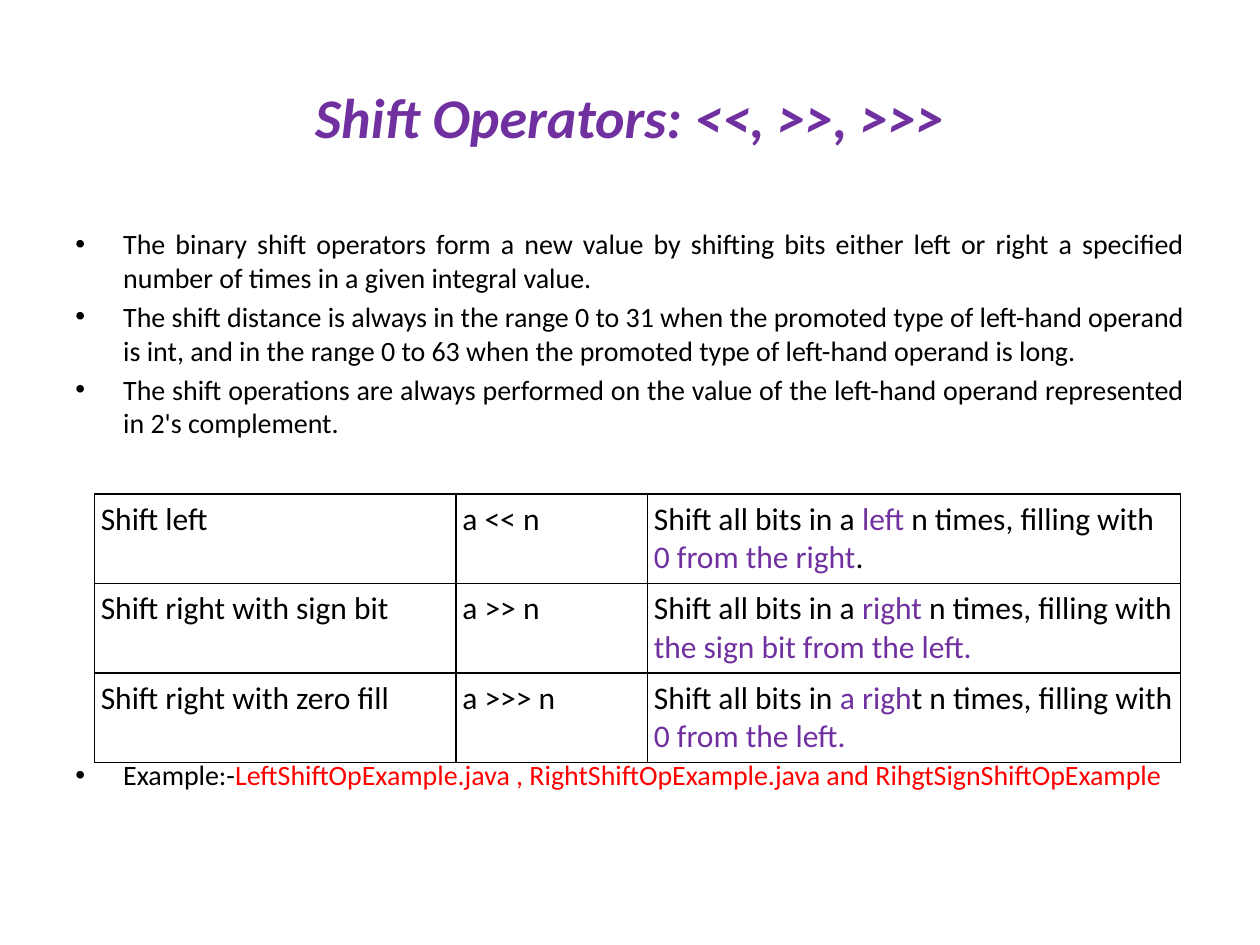
from dataclasses import dataclass

from lxml import etree
from pptx import Presentation
from pptx import util as u
from pptx.dml.color import RGBColor
from pptx.enum import text
from pptx.oxml.ns import qn


@dataclass(frozen=True)
class Theme:
    font: str = "Calibri"
    ink: str = "000000"
    accent: str = "7030A0"
    alert: str = "FF0000"
    paper: str = "FFFFFF"
    title_size: int = 32
    body_size: int = 16
    table_size: int = 18
    border: float = 1
    para_gap: float = 3.2
    example_gap: float = 182


THEME = Theme()
INK, ACCENT, ALERT = THEME.ink, THEME.accent, THEME.alert

# Each paragraph is a list of (wording, colour) spans
BULLETS = [
    [("The binary shift operators form a new value by shifting bits either left or right "
      "a specified number of times in a given integral value.", INK)],
    [("The shift distance is always in the range 0 to 31 when the promoted type of left-hand "
      "operand is int, and in the range 0 to 63 when the promoted type of left-hand operand "
      "is long.", INK)],
    [("The shift operations are always performed on the value of the left-hand operand "
      "represented in 2's complement.", INK)],
    [("Example:-", INK),
     ("LeftShiftOpExample.java , RightShiftOpExample.java and RihgtSignShiftOpExample", ALERT)],
]

OPERATORS = [
    ("Shift left", "a << n",
     [("Shift all bits in a ", INK), ("left", ACCENT), (" n times, filling with ", INK),
      ("0 from the right", ACCENT), (".", INK)]),
    ("Shift right with sign bit", "a >> n",
     [("Shift all bits in a ", INK), ("right", ACCENT), (" n times, filling with ", INK),
      ("the sign bit from the left.", ACCENT)]),
    ("Shift right with zero fill", "a >>> n",
     [("Shift all bits in ", INK), ("a righ", ACCENT), ("t n times, filling with ", INK),
      ("0 from the left.", ACCENT)]),
]


def write_spans(para, spans, size, bold=False, italic=False):
    for wording, colour in spans:
        span = para.add_run()
        span.text = wording
        span.font.name = THEME.font
        span.font.size = u.Pt(size)
        span.font.bold = bold
        span.font.italic = italic
        span.font.color.rgb = RGBColor.from_string(colour)


def add_bullet(para, indent):
    props = para._p.get_or_add_pPr()
    props.set("marL", str(u.Inches(indent)))
    props.set("indent", str(-u.Inches(indent)))
    etree.SubElement(props, qn("a:buFont"), typeface="Arial")
    etree.SubElement(props, qn("a:buChar"), char="•")


def add_borders(cell):
    props = cell._tc.get_or_add_tcPr()
    for side in ("a:lnL", "a:lnR", "a:lnT", "a:lnB"):
        line = etree.SubElement(props, qn(side), w=str(u.Pt(THEME.border)))
        fill = etree.SubElement(line, qn("a:solidFill"))
        etree.SubElement(fill, qn("a:srgbClr"), val=INK)


def place_title(page, left, top, width, height):
    title = page.shapes.title
    title.left, title.top = u.Inches(left), u.Inches(top)
    title.width, title.height = u.Inches(width), u.Inches(height)
    title.text_frame.vertical_anchor = text.MSO_ANCHOR.MIDDLE
    para = title.text_frame.paragraphs[0]
    para.alignment = text.PP_ALIGN.CENTER
    write_spans(para, [("Shift Operators: <<, >>, >>>", ACCENT)],
                THEME.title_size, bold=True, italic=True)


def place_bullets(page, left, top, width, height):
    box = page.shapes.add_textbox(*map(u.Inches, (left, top, width, height)))
    frame = box.text_frame
    frame.word_wrap = True
    for index, spans in enumerate(BULLETS):
        para = frame.add_paragraph() if index else frame.paragraphs[0]
        para.alignment = text.PP_ALIGN.JUSTIFY
        # The example line sits below the table
        is_example = index == len(BULLETS) - 1
        para.space_before = u.Pt(THEME.example_gap if is_example else THEME.para_gap)
        add_bullet(para, 0.38)
        write_spans(para, spans, THEME.body_size)


def place_operator_table(page, left, top, widths, row_height):
    count = len(OPERATORS)
    frame = page.shapes.add_table(
        count, len(widths),
        *map(u.Inches, (left, top, sum(widths), row_height * count)))
    table = frame.table
    table.first_row = table.horz_banding = False
    for column, width in zip(table.columns, widths):
        column.width = u.Inches(width)
    for row, (name, usage, meaning) in zip(table.rows, OPERATORS):
        row.height = u.Inches(row_height)
        for cell, spans in zip(row.cells, ([(name, INK)], [(usage, INK)], meaning)):
            cell.margin_left = cell.margin_right = u.Inches(0.05)
            cell.margin_top = cell.margin_bottom = u.Inches(0.05)
            add_borders(cell)
            cell.fill.solid()
            cell.fill.fore_color.rgb = RGBColor.from_string(THEME.paper)
            write_spans(cell.text_frame.paragraphs[0], spans, THEME.table_size)


def build_operator_page(deck):
    page = deck.slides.add_slide(deck.slide_layouts.get_by_name("Title Only"))
    place_title(page, 0.5, 0.3, 9, 1.25)
    place_bullets(page, 0.5, 1.75, 9, 4.95)
    place_operator_table(page, 0.75, 3.92, (2.87, 1.52, 4.23), 0.71)


deck = Presentation()
deck.slide_width, deck.slide_height = u.Inches(10), u.Inches(7.5)
build_operator_page(deck)
deck.save("out.pptx")
